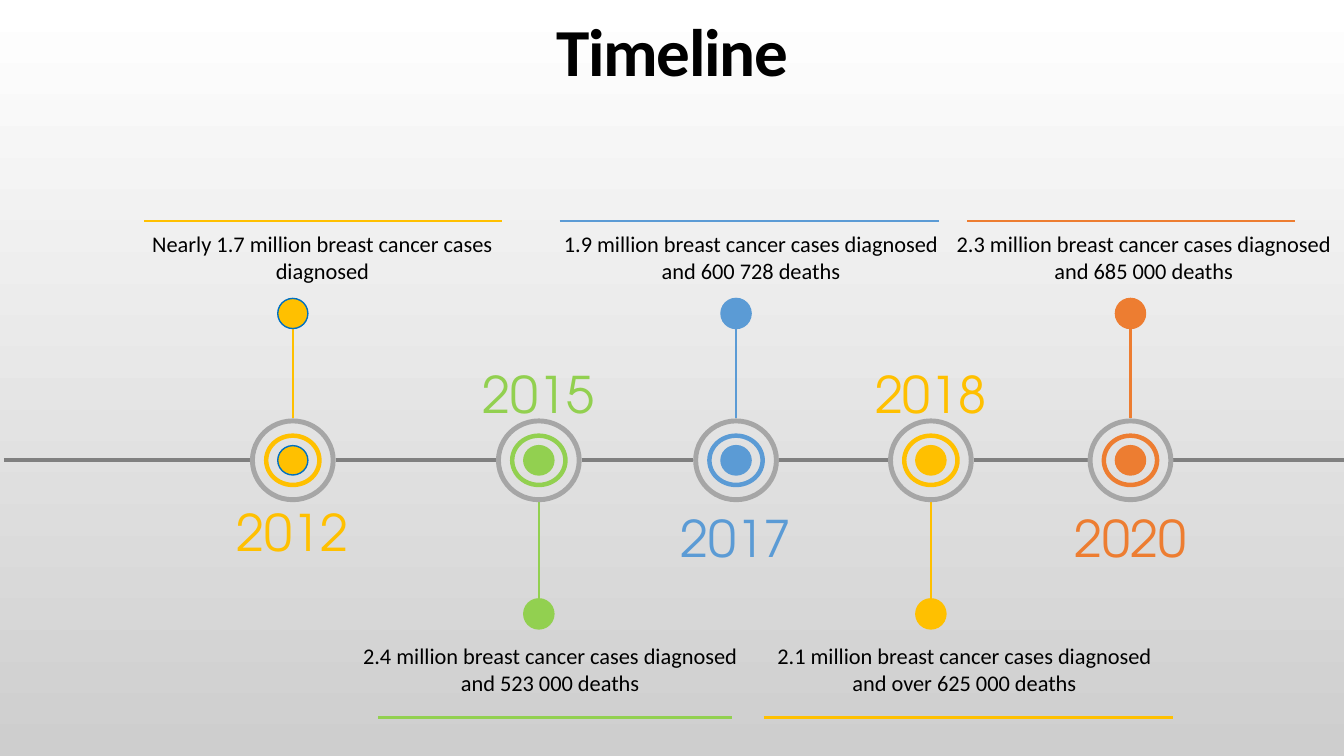
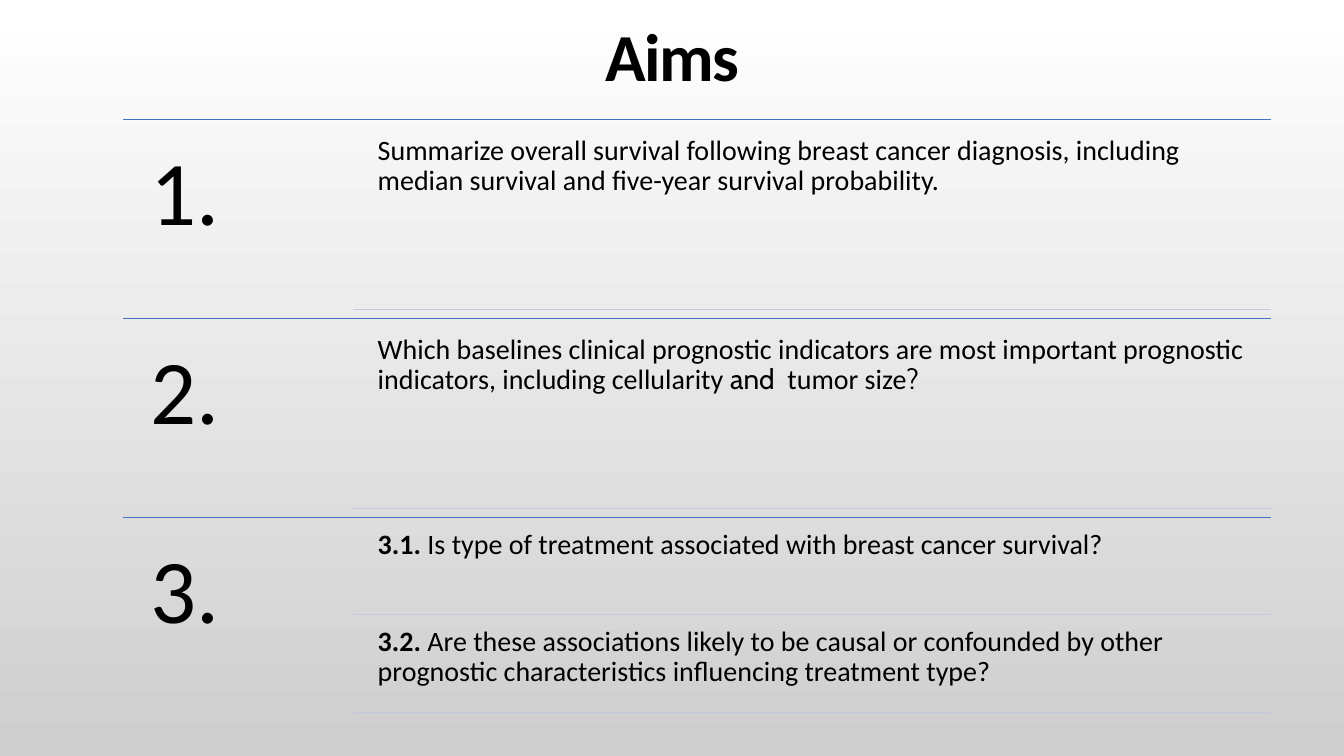
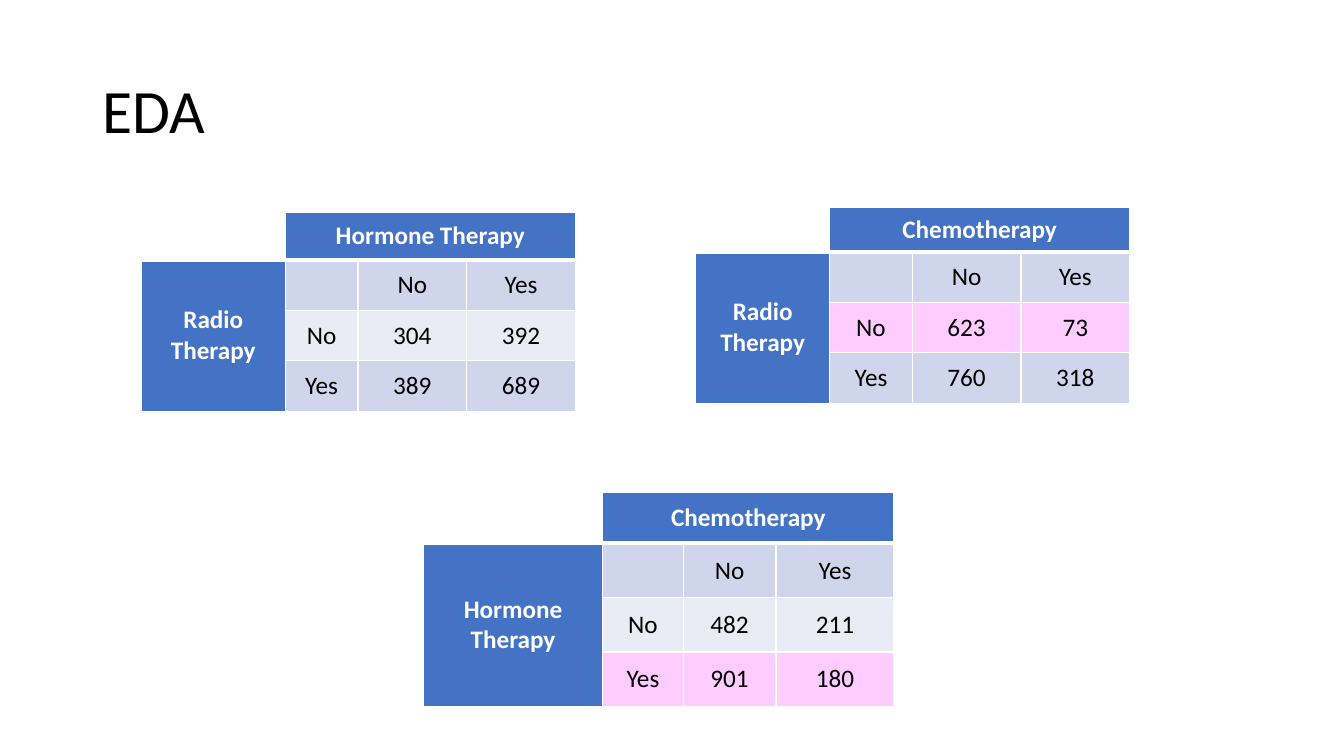
from pptx import Presentation
from pptx.dml.color import RGBColor
from pptx.enum.shapes import MSO_CONNECTOR as Wire, MSO_SHAPE as Form
from pptx.enum.text import MSO_ANCHOR as Anchor, MSO_AUTO_SIZE as Fit, PP_ALIGN as Align
from pptx.oxml.ns import qn
from pptx.util import Cm, Pt
from lxml.etree import SubElement as Sub

WIDE, HIGH = 33.87, 19.05
BLACK, WHITE, BLUE = "000000", "FFFFFF", "4472C4"
RING, AXIS, RULE = "A6A6A6", "808080", "C1C9E4"
PALE, LIGHT, PINK = "CFD5EA", "E9EBF5", "FFCCFF"
GOLD, GREEN, SKY, RUST = "FFC000", "92D050", "5B9BD5", "ED7D31"
BODY, YEAR, ALT = "Calibri", "TeX Gyre Adventor", "Cabin"


def hue(code):
    return RGBColor.from_string(code)


class Deck:
    """Holds the shared style and the slide being built."""

    def __init__(self):
        self.prs = Presentation()
        self.prs.slide_width, self.prs.slide_height = Cm(WIDE), Cm(HIGH)
        self.slide = None

    def page(self, title, top, size=48, bold=True, align=Align.CENTER, shade=True):
        self.slide = self.prs.slides.add_slide(self.prs.slide_layouts[5])
        fill = self.slide.background.fill
        if shade:
            fill.gradient()
            fill.gradient_angle = 270
            for stop, code, pos in zip(fill.gradient_stops, (WHITE, "CECECE"), (0, 1)):
                stop.color.rgb, stop.position = hue(code), pos
        else:
            fill.solid()
            fill.fore_color.rgb = hue(WHITE)
        head = self.slide.shapes.title
        head.left, head.top, head.width, head.height = Cm(2.34), Cm(top), Cm(29.21), Cm(3.68)
        frame = head.text_frame
        frame.auto_size, frame.vertical_anchor = Fit.NONE, Anchor.MIDDLE
        run = self.fill_in(frame, [(title, {"size": size, "bold": bold})], align, 0.9)
        if bold:
            run.font._element.set("spc", "-100")

    def fill_in(self, frame, runs, align=Align.LEFT, lead=1.0):
        """Write (text, style) runs into the first paragraph; return the last run."""
        para = frame.paragraphs[0]
        para.alignment, para.line_spacing = align, lead
        for text, style in runs:
            run = para.add_run()
            run.text = text
            font = run.font
            font.name = style.get("font", BODY)
            font.size = Pt(style.get("size", 18))
            font.bold = style.get("bold", False)
            font.color.rgb = hue(style.get("color", BLACK))
        return run

    def text(self, box, runs, align=Align.LEFT, lead=1.0, pad=None):
        frame = self.slide.shapes.add_textbox(*map(Cm, box)).text_frame
        frame.word_wrap = True
        if pad is not None:
            frame.margin_left = frame.margin_right = Cm(pad)
            frame.margin_top = frame.margin_bottom = Cm(pad)
        self.fill_in(frame, runs, align, lead)

    def round(self, form, mid, size, color, edge=None):
        """Place a disc or ring by its centre."""
        (x, y), (w, h) = mid, size
        shape = self.slide.shapes.add_shape(form, Cm(x - w / 2), Cm(y - h / 2), Cm(w), Cm(h))
        shape.shadow.inherit = False
        shape.fill.solid()
        shape.fill.fore_color.rgb = hue(color)
        if form == Form.DONUT:
            shape.adjustments[0] = 0.059
        if edge:
            shape.line.color.rgb, shape.line.width = hue(edge), Pt(1)
        else:
            shape.line.fill.background()

    def line(self, start, end, color, width):
        wire = self.slide.shapes.add_connector(Wire.STRAIGHT, *map(Cm, start + end))
        wire.line.color.rgb, wire.line.width = hue(color), Pt(width)
        Sub(wire._element.spPr, qn("a:effectLst"))

    def cell(self, cell, text, fill, white=False, top=1, low=1):
        edges = cell._tc.get_or_add_tcPr()
        for side, width in zip("LRTB", (1, 1, top, low)):
            edge = Sub(edges, qn("a:ln" + side), w=str(Pt(width)))
            Sub(Sub(edge, qn("a:solidFill")), qn("a:srgbClr"), val=WHITE)
        cell.fill.solid()
        cell.fill.fore_color.rgb = hue(fill)
        cell.vertical_anchor = Anchor.MIDDLE
        if text:
            style = {"color": WHITE if white else BLACK, "bold": white}
            self.fill_in(cell.text_frame, [(text, style)], Align.CENTER)

    def cross(self, spot, cols, rows, heads, counts, fills):
        """Draw a two-by-two count table with a side head and a top head."""
        size = sum(cols), sum(rows)
        grid = self.slide.shapes.add_table(4, 4, *map(Cm, spot + size)).table
        grid.first_row = grid.horz_banding = False
        for col, width in zip(grid.columns, cols):
            col.width = Cm(width)
        for row, height in zip(grid.rows, rows):
            row.height = Cm(height)
        side, top = heads
        body = [["", top, "", ""], [side, "", "No", "Yes"],
                ["", "No", *counts[0]], ["", "Yes", *counts[1]]]
        for r, line in enumerate(body):
            for c, text in enumerate(line):
                head = (r == 0) != (c == 0)
                fill = BLUE if head else WHITE if r == 0 else (PALE, *fills)[r - 1]
                self.cell(grid.cell(r, c), str(text), fill, head,
                          3 if r == 1 else 1, 3 if r == 0 else 1)
        grid.cell(0, 1).merge(grid.cell(0, 3))
        grid.cell(1, 0).merge(grid.cell(3, 0))


def timeline(deck):
    deck.page("Timeline", -0.46)
    mid, half = 11.6, 1.08
    # year, centre, year top, colour, dot edge, note left, rule from and to, note
    stops = [
        ("2012", 7.38, 12.5, GOLD, "0070C0", 2.74, 3.63, 12.65,
         "Nearly 1.7 million breast cancer cases diagnosed"),
        ("2015", 13.58, 9.02, GREEN, GREEN, 8.48, 9.53, 18.44,
         "2.4 million breast cancer cases diagnosed and 523 000 deaths"),
        ("2017", 18.55, 12.65, SKY, SKY, 13.54, 14.1, 23.67,
         "1.9 million breast cancer cases diagnosed and 600 728 deaths"),
        ("2018", 23.46, 9.02, GOLD, GOLD, 18.92, 19.25, 29.57,
         "2.1 million breast cancer cases diagnosed and over 625 000 deaths"),
        ("2020", 28.49, 12.65, RUST, RUST, 23.44, 24.38, 32.64,
         "2.3 million breast cancer cases diagnosed and 685 000 deaths"),
    ]
    mids = [stop[1] for stop in stops]
    starts = [0.1] + [x + half for x in mids]
    ends = [x - half for x in mids] + [WIDE]
    for start, end in zip(starts, ends):
        deck.line((start, mid), (end, mid), AXIS, 3)
    for i, (year, x, top, color, edge, left, start, end, note) in enumerate(stops):
        up = i % 2 == 0
        tip, rule, note_top = (7.9, 5.56, 5.67) if up else (15.47, 18.08, 16.06)
        deck.line((x, tip), (x, mid - 1.06 if up else mid + 1.06), color, 1.5)
        deck.round(Form.OVAL, (x, tip), (0.76, 0.76), color, edge)
        deck.round(Form.DONUT, (x, mid), (2 * half, 2.11), RING)
        deck.round(Form.OVAL, (x, mid), (0.76, 0.74), color, edge)
        deck.round(Form.DONUT, (x, mid), (1.42, 1.32), color, color)
        deck.text((x - 2.6, top, 5.2, 1.8),
                  [(year, {"size": 36, "font": YEAR, "color": color})], Align.CENTER)
        deck.text((left, note_top, 10.77, 1.63), [(note, {"size": 16})], Align.CENTER)
        deck.line((start, rule), (end, rule), color, 1.5)


def aims(deck):
    deck.page("Aims", -0.33)
    text, bold, alt = {"size": 20}, {"size": 20, "bold": True}, {"size": 20, "font": ALT}
    goals = [
        [[("Summarize overall survival following breast cancer diagnosis, including "
           "median survival and five-year survival probability.", text)]],
        [[("Which baselines clinical prognostic indicators are most important prognostic "
           "indicators, including cellularity ", text),
          ("and ", alt), (" tumor size", text), ("?", alt)]],
        [[("3.1.", bold),
          (" Is type of treatment associated with breast cancer survival?", text)],
         [("3.2.", bold),
          (" Are these associations likely to be causal or confounded by other "
           "prognostic characteristics influencing treatment type?", text)]],
    ]
    step, right = 5.02, 32.03
    for i, goal in enumerate(goals):
        top = 3 + i * step
        deck.line((3.1, top), (right, top), BLUE, 0.5)
        deck.text((3.1, top, 5.79, step), [(f"{i + 1}.", {"size": 65})], lead=0.9, pad=0.69)
        count = len(goal)
        high = step / (count + 0.05 * (count + 1))
        for j, runs in enumerate(goal):
            y = top + 0.05 * high + j * 1.05 * high
            deck.text((9.32, y, 22.71, high), runs, lead=0.9, pad=0.2)
            deck.line((8.89, y + high), (right, y + high), RULE, 0.5)


def counts(deck):
    deck.page("EDA", 1.02, 44, False, Align.LEFT, False)
    radio, chemo, hormone = "Radio Therapy", "Chemotherapy", "Hormone Therapy"
    deck.cross((3.56, 5.36), (3.63, 1.83, 2.74, 2.74), (1.19, 1.27, 1.27, 1.27),
               (radio, hormone), ((304, 392), (389, 689)), (LIGHT, PALE))
    deck.cross((17.53, 5.23), (3.38, 2.08, 2.74, 2.74), (1.12, 1.27, 1.27, 1.27),
               (radio, chemo), ((623, 73), (760, 318)), (PINK, PALE))
    deck.cross((10.67, 12.42), (4.52, 2.03, 2.34, 2.97), (1.27, 1.37, 1.37, 1.37),
               (hormone, chemo), ((482, 211), (901, 180)), (LIGHT, PINK))


def main():
    deck = Deck()
    for build in (timeline, aims, counts):
        build(deck)
    deck.prs.save("out.pptx")


if __name__ == "__main__":
    main()
